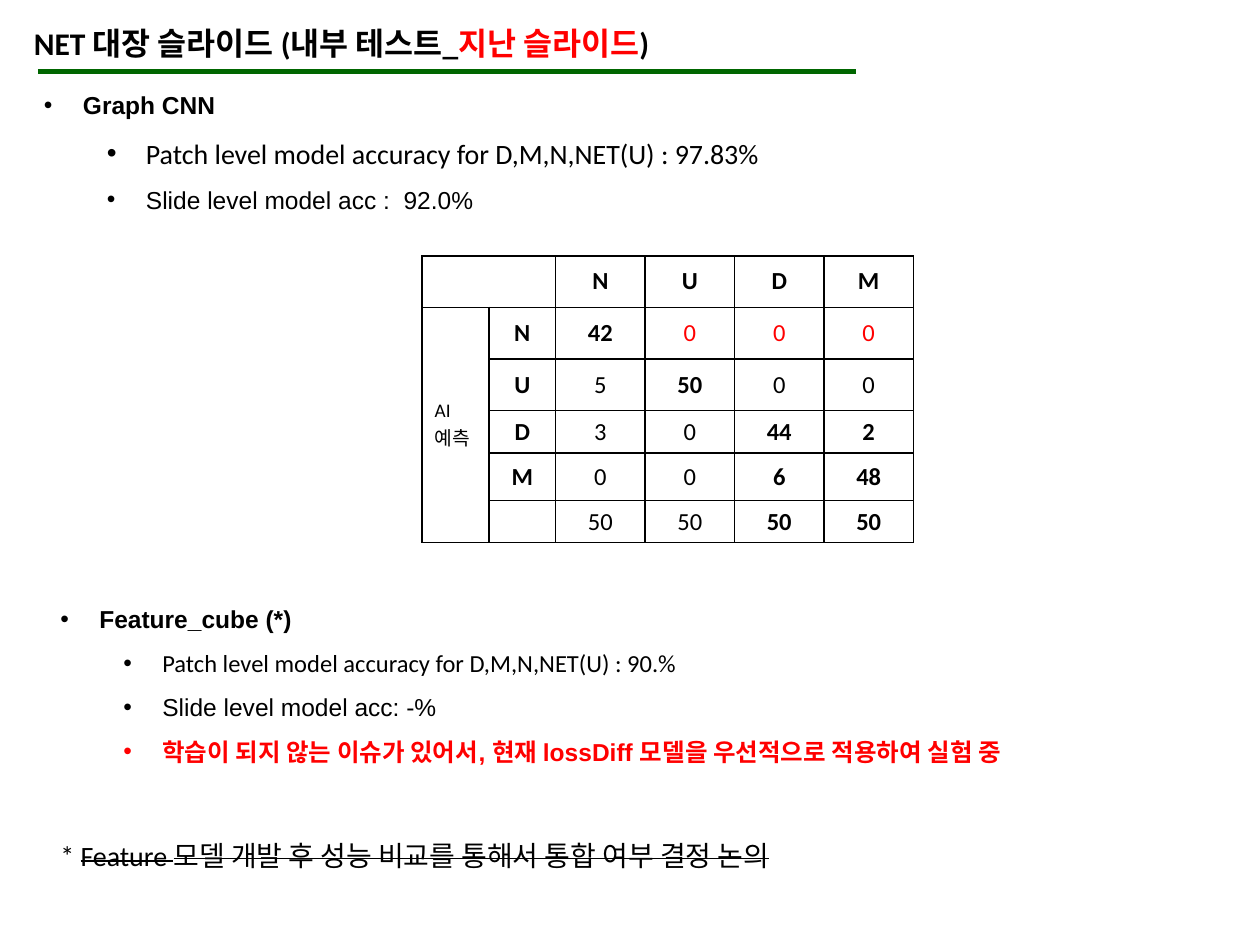
from dataclasses import dataclass

from lxml.etree import SubElement
from pptx import Presentation
from pptx.dml.color import RGBColor
from pptx.enum.text import MSO_ANCHOR, MSO_AUTO_SIZE, PP_ALIGN
from pptx.oxml.ns import qn
from pptx.util import Inches, Pt

BLACK, RED, GREEN, WHITE = "000000", "FF0000", "006600", "FFFFFF"


@dataclass
class Bullet:
    text: str
    level: int = 1
    size: int = 14
    font: str = "Arial"
    color: str = BLACK
    bold: bool = False


def rgb(value: str) -> RGBColor:
    return RGBColor.from_string(value)


def style(font, size: int, name: str = "Calibri", color: str = BLACK, bold: bool = False) -> None:
    font.size, font.name, font.bold = Pt(size), name, bold
    font.color.rgb = rgb(color)


def add_text_frame(slide, left: float, top: float, width: float, height: float):
    frame = slide.shapes.add_textbox(
        Inches(left), Inches(top), Inches(width), Inches(height)).text_frame
    frame.word_wrap = True
    frame.auto_size = MSO_AUTO_SIZE.SHAPE_TO_FIT_TEXT
    return frame


def add_title(slide) -> None:
    paragraph = add_text_frame(slide, 0.17, 0.14, 5.89, 0.4).paragraphs[0]
    for text, color in (("NET 대장 슬라이드 (내부 테스트_", BLACK),
                        ("지난 슬라이드", RED), (")", BLACK)):
        run = paragraph.add_run()
        run.text = text
        style(run.font, 18, color=color, bold=True)

    rule = slide.shapes.add_connector(1, Inches(0.3), Inches(0.57), Inches(6.79), Inches(0.57))
    rule.line.color.rgb = rgb(GREEN)
    rule.line.width = Pt(3)
    SubElement(rule._element.spPr, qn("a:effectLst"))


def add_bullets(slide, left: float, top: float, height: float, bullets: list[Bullet]) -> None:
    frame = add_text_frame(slide, left, top, 9.51, height)
    for index, bullet in enumerate(bullets):
        paragraph = frame.add_paragraph() if index else frame.paragraphs[0]
        paragraph.text = bullet.text
        paragraph.level = bullet.level
        paragraph.line_spacing = 1.5
        properties = paragraph._p.get_or_add_pPr()
        properties.set("marL", str(Inches(0.31 + 0.5 * bullet.level)))
        properties.set("indent", str(Inches(-0.31)))
        SubElement(properties, qn("a:buFont"), typeface="Arial")
        SubElement(properties, qn("a:buChar"), char="•")
        style(paragraph.font, bullet.size, bullet.font, bullet.color, bullet.bold)


def add_borders(cell) -> None:
    properties = cell._tc.get_or_add_tcPr()
    for side in ("lnL", "lnR", "lnT", "lnB"):
        line = SubElement(properties, qn(f"a:{side}"), w=str(Pt(1)))
        SubElement(SubElement(line, qn("a:solidFill")), qn("a:srgbClr"), val=BLACK)


def add_confusion_matrix(slide) -> None:
    rows = [
        ("", "", "N", "U", "D", "M"),
        ("AI\n예측", "N", "42", "0", "0", "0"),
        ("", "U", "5", "50", "0", "0"),
        ("", "D", "3", "0", "44", "2"),
        ("", "M", "0", "0", "6", "48"),
        ("", "", "50", "50", "50", "50"),
    ]
    table = slide.shapes.add_table(
        6, 6, Inches(3.35), Inches(2.03), Inches(3.89), Inches(2.26)).table
    table.first_row = table.horz_banding = False
    for column, width in zip(table.columns, [0.53] * 2 + [0.71] * 4):
        column.width = Inches(width)
    for row, height in zip(table.rows, [0.41] * 3 + [0.33, 0.38, 0.33]):
        row.height = Inches(height)

    for r, values in enumerate(rows):
        for c, value in enumerate(values):
            cell = table.cell(r, c)
            add_borders(cell)
            cell.fill.solid()
            cell.fill.fore_color.rgb = rgb(WHITE)
            cell.vertical_anchor = MSO_ANCHOR.MIDDLE
            paragraph = cell.text_frame.paragraphs[0]
            size = 14 if c else 11
            paragraph.alignment = PP_ALIGN.CENTER if c else PP_ALIGN.LEFT
            heading = r == 0 or c == 1
            diagonal = r == c - 1
            last_classes = r >= 3 and c >= 4
            missed_normal = r == 1 and c >= 3
            style(paragraph.font, size, color=RED if missed_normal else BLACK,
                  bold=heading or diagonal or last_classes)
            if value:
                paragraph.text = value
            else:
                SubElement(paragraph._p, qn("a:endParaRPr"), sz=str(size * 100))
    table.cell(0, 0).merge(table.cell(0, 1))
    table.cell(1, 0).merge(table.cell(5, 0))


def add_footnote(slide) -> None:
    paragraph = add_text_frame(slide, 0.38, 6.61, 7.85, 0.37).paragraphs[0]
    paragraph.add_run().text = "* "
    dropped_plan = paragraph.add_run()
    dropped_plan.text = "Feature 모델 개발 후 성능 비교를 통해서 통합 여부 결정 논의"
    dropped_plan._r.get_or_add_rPr().set("strike", "sngStrike")
    style(paragraph.font, 16)


def main() -> None:
    deck = Presentation()
    deck.slide_width, deck.slide_height = Inches(10), Inches(7.5)
    slide = deck.slides.add_slide(deck.slide_layouts[6])
    add_title(slide)
    add_bullets(slide, 0.25, 0.55, 1.57, [
        Bullet("Graph CNN", level=0, bold=True),
        Bullet("Patch level model accuracy for D,M,N,NET(U) : 97.83%", size=16, font="Calibri"),
        Bullet("Slide level model acc :  92.0%"),
    ])
    add_confusion_matrix(slide)
    add_bullets(slide, 0.38, 4.63, 1.51, [
        Bullet("Feature_cube (*)", level=0, bold=True),
        Bullet("Patch level model accuracy for D,M,N,NET(U) : 90.%", font="Calibri"),
        Bullet("Slide level model acc: -%"),
        Bullet("학습이 되지 않는 이슈가 있어서, 현재 lossDiff 모델을 우선적으로 적용하여 실험 중",
               color=RED, bold=True),
    ])
    add_footnote(slide)
    deck.save("out.pptx")


if __name__ == "__main__":
    main()
